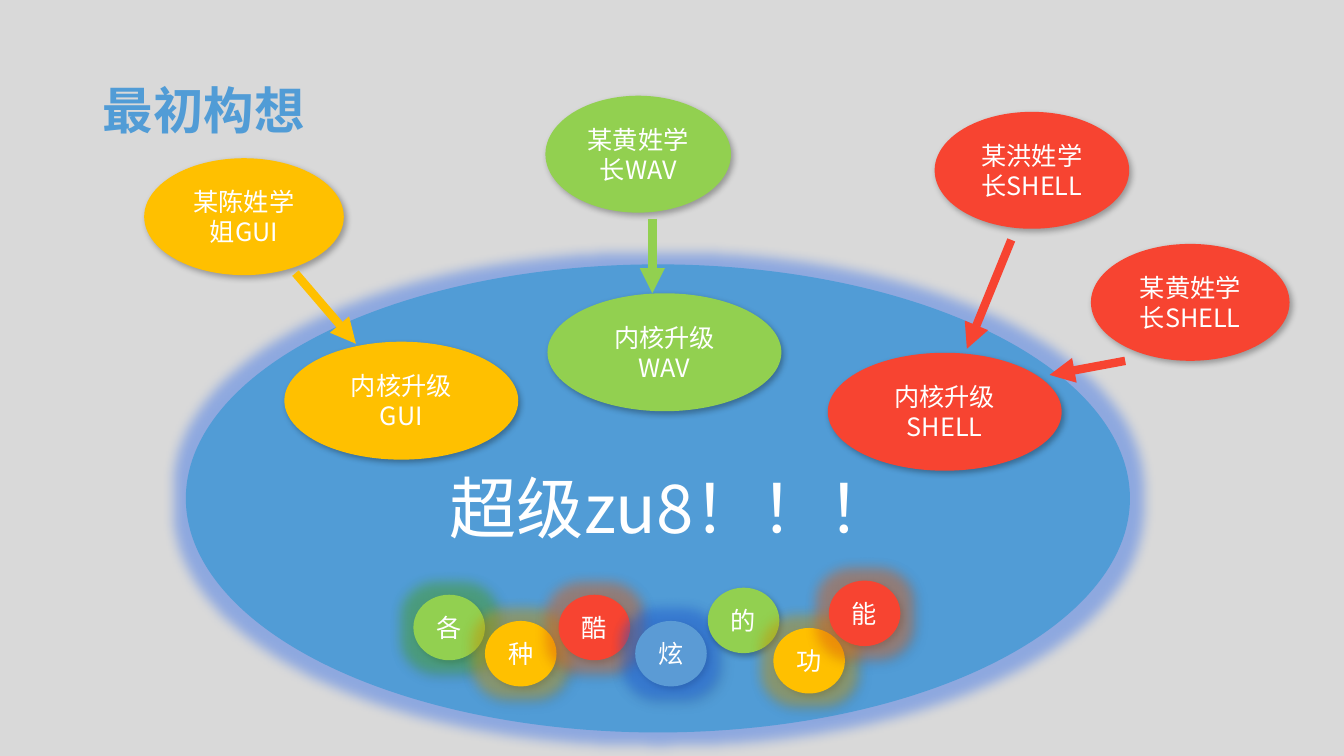
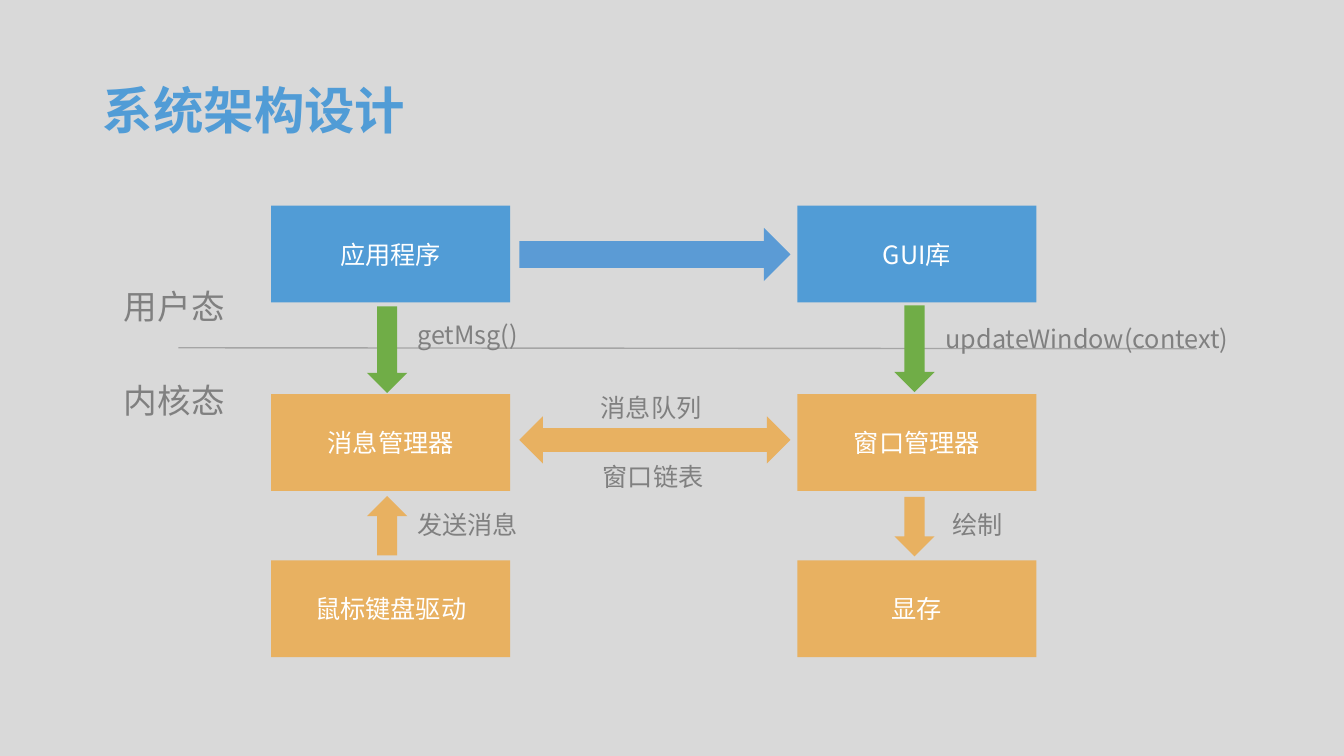
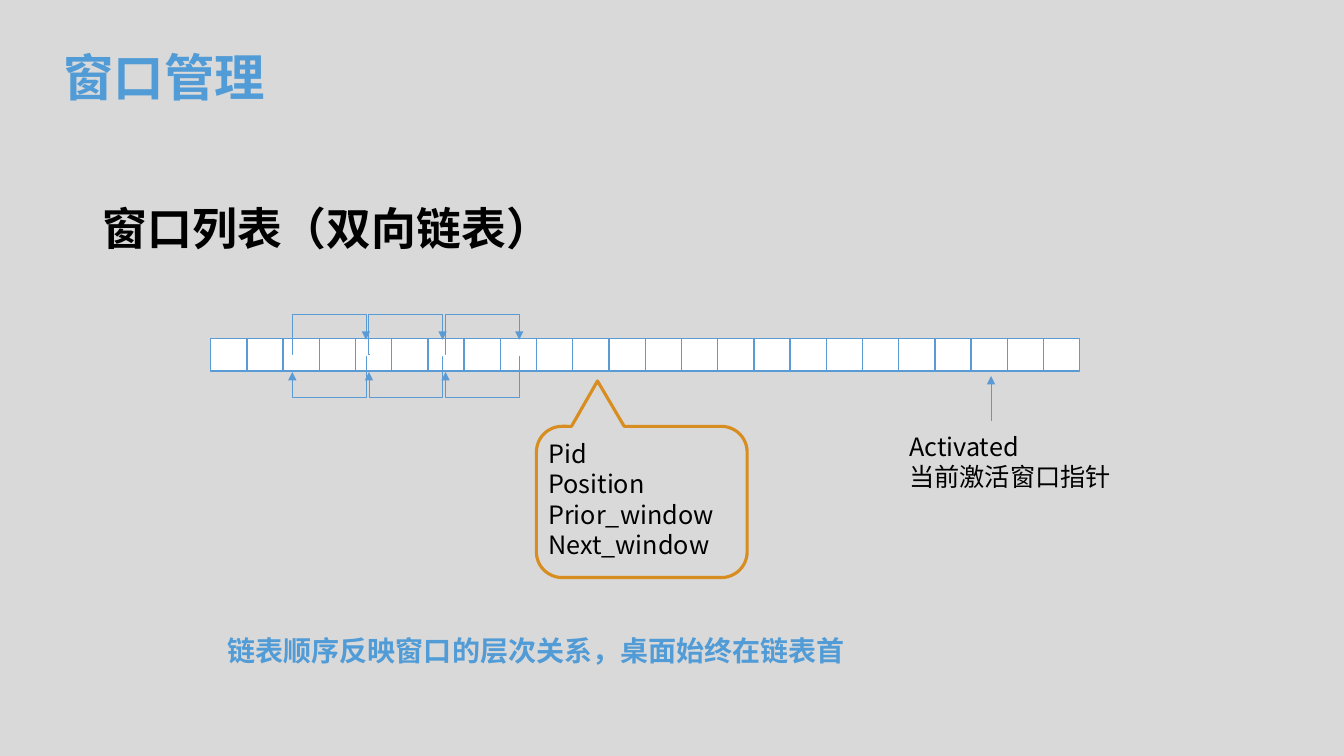
from lxml import etree
from pptx import Presentation
from pptx import util as u
from pptx.dml.color import RGBColor
from pptx.enum import shapes, text
from pptx.oxml.ns import qn

FONT = "Noto Sans CJK SC"
COLORS = {
    "background": "D9D9D9", "main": "519CD6", "link": "5B9BD5",
    "gold": "FFC000", "lime": "92D050", "red": "F74431",
    "kernel": "E8B161", "call": "70AD47", "callout": "D78D1F",
    "divider": "A5A5A5", "label": "808080", "white": "FFFFFF", "black": "000000",
    "blue glow": "1E60EA", "green glow": "4FB51E",
    "gold glow": "E5A800", "orange glow": "FF6A14",
}
SHAPE = shapes.MSO_SHAPE
ALIGN = text.PP_ALIGN
ANCHOR = text.MSO_ANCHOR


def rgb(color):
    return RGBColor.from_string(COLORS[color])


def inches(*lengths):
    return [u.Inches(length) for length in lengths]


def add_xml(parent, tag, **attributes):
    child = etree.SubElement(parent, qn(tag))
    for key, value in attributes.items():
        child.set(key, str(value))
    return child


def write(frame, words, size, color, bold=False, align=ALIGN.LEFT, spacing=1.0):
    """Fill a text frame, one paragraph for each line of words."""
    frame.text = words
    for paragraph in frame.paragraphs:
        paragraph.alignment = align
        paragraph.line_spacing = spacing
        font = paragraph.font
        font.size, font.bold, font.name = u.Pt(size), bold, FONT
        font.color.rgb = rgb(color)
        defaults = paragraph._p.get_or_add_pPr().find(qn("a:defRPr"))
        add_xml(defaults, "a:ea", typeface=FONT)


def add_titled_slide(prs, words, box=(0.92, 0.4, 11.5, 1.45),
                     anchor=ANCHOR.MIDDLE, spacing=0.9):
    slide = prs.slides.add_slide(prs.slide_layouts[5])
    title = slide.shapes.title
    title.left, title.top, title.width, title.height = inches(*box)
    frame = title.text_frame
    frame.auto_size = text.MSO_AUTO_SIZE.NONE
    frame.vertical_anchor = anchor
    write(frame, words, 36, "main", bold=True, spacing=spacing)
    return slide


def add_label(slide, box, words, size=18, color="label", bold=False,
              align=ALIGN.LEFT, wrap=True, spacing=1.0):
    frame = slide.shapes.add_textbox(*inches(*box)).text_frame
    frame.word_wrap = wrap
    write(frame, words, size, color, bold, align, spacing)


def add_figure(slide, kind, box, fill=None, words="", line=None, weight=1):
    figure = slide.shapes.add_shape(kind, *inches(*box))
    figure.shadow.inherit = False
    if fill:
        figure.fill.solid()
        figure.fill.fore_color.rgb = rgb(fill)
    else:
        figure.fill.background()
    if line:
        figure.line.color.rgb = rgb(line)
        figure.line.width = u.Pt(weight)
    else:
        figure.line.fill.background()
    if words:
        figure.text_frame.vertical_anchor = ANCHOR.MIDDLE
        write(figure.text_frame, words, 18, "white", align=ALIGN.CENTER)
    return figure


def add_effect(figure, tag, color, alpha, **attributes):
    effects = figure._element.spPr.find(qn("a:effectLst"))
    effect = add_xml(effects, tag, **attributes)
    tint = add_xml(effect, "a:srgbClr", val=COLORS[color])
    add_xml(tint, "a:alpha", val=alpha * 1000)


def add_glow(figure, color):
    add_effect(figure, "a:glow", color, 40, rad=u.Pt(18))


def add_bubble(slide, box, fill, words, glow=None):
    bubble = add_figure(slide, SHAPE.OVAL, box, fill, words)
    if glow:
        add_glow(bubble, glow)
    add_effect(bubble, "a:outerShdw", "black", 30, blurRad=u.Pt(4.5),
               dist=u.Pt(2.6), dir=53 * 60000, algn="tl", rotWithShape=0)


def add_line(slide, start, end, color, weight, arrow=True,
             kind=shapes.MSO_CONNECTOR.STRAIGHT):
    line = slide.shapes.add_connector(kind, *inches(*start, *end))
    line.line.color.rgb = rgb(color)
    line.line.width = u.Pt(weight)
    if arrow:
        add_xml(line.line._get_or_add_ln(), "a:tailEnd", type="triangle")
    add_xml(line._element.spPr, "a:effectLst")
    return line


def add_list_link(slide, start, end):
    """Draw an arrow that loops outside the row of cells."""
    link = add_line(slide, start, end, "link", 0.5,
                    kind=shapes.MSO_CONNECTOR.ELBOW)
    geometry = link._element.spPr.find(qn("a:prstGeom"))
    geometry.set("prst", "bentConnector4")
    guides = geometry.find(qn("a:avLst"))
    if guides is None:
        guides = add_xml(geometry, "a:avLst")
    for name, value in (("adj1", -400), ("adj2", 266700)):
        add_xml(guides, "a:gd", name=name, fmla=f"val {value}")


def build_first_idea(prs):
    slide = add_titled_slide(prs, "最初构想")
    for left, top, width, fill, words in (
            (1.43, 1.57, 1.98, "gold", "某陈姓学姐GUI"),
            (5.41, 0.95, 1.84, "lime", "某黄姓学长WAV"),
            (9.27, 1.11, 1.93, "red", "某洪姓学长SHELL"),
            (10.82, 2.42, 1.97, "red", "某黄姓学长SHELL")):
        add_bubble(slide, (left, top, width, 1.16), fill, words)

    system = add_figure(slide, SHAPE.OVAL, (1.85, 2.63, 9.35, 4.63), "main", line="main")
    add_glow(system, "blue glow")

    for left, top, fill, upgrade in (
            (2.82, 3.39, "gold", "GUI"),
            (5.43, 2.91, "lime", "WAV"),
            (8.21, 3.5, "red", "SHELL")):
        add_bubble(slide, (left, top, 2.32, 1.17), fill, f"内核升级\n{upgrade}")

    for left, top, fill, character, glow in (
            (4.1, 5.9, "lime", "各", "green glow"),
            (4.81, 6.16, "gold", "种", "gold glow"),
            (5.54, 5.9, "red", "酷", "orange glow"),
            (6.3, 6.16, "link", "炫", "blue glow"),
            (7.02, 5.83, "lime", "的", None),
            (7.67, 6.23, "gold", "功", "gold glow"),
            (8.22, 5.76, "red", "能", "orange glow")):
        add_bubble(slide, (left, top, 0.71, 0.65), fill, character, glow)

    for start, end, color in (
            ((2.93, 2.71), (3.53, 3.41), "gold"),
            ((6.47, 2.17), (6.47, 2.91), "lime"),
            ((10.03, 2.38), (9.59, 3.46), "red"),
            ((11.16, 3.58), (10.41, 3.72), "red")):
        add_line(slide, start, end, color, 6)
    add_label(slide, (4.34, 4.58, 4.66, 0.91), "超级zu8！！！", 48, "white",
              align=ALIGN.CENTER, wrap=False)


def build_architecture(prs):
    slide = add_titled_slide(prs, "系统架构设计")
    for top, fill, names in (
            (2.04, "main", ("应用程序", "GUI库")),
            (3.91, "kernel", ("消息管理器", "窗口管理器")),
            (5.56, "kernel", ("鼠标键盘驱动", "显存"))):
        for left, name in zip((2.69, 7.91), names):
            add_figure(slide, SHAPE.RECTANGLE, (left, top, 2.37, 0.96), fill, name)

    add_line(slide, (1.77, 3.45), (11.87, 3.46), "divider", 1, arrow=False)
    for top, mode in ((2.79, "用户态"), (3.72, "内核态")):
        add_label(slide, (1.13, top, 1.28, 0.5), mode, 24)

    for kind, box, fill in (
            (SHAPE.RIGHT_ARROW, (5.15, 2.26, 2.69, 0.53), "link"),
            (SHAPE.UP_ARROW, (3.64, 4.92, 0.4, 0.59), "kernel"),
            (SHAPE.LEFT_RIGHT_ARROW, (5.15, 4.13, 2.69, 0.47), "kernel"),
            (SHAPE.DOWN_ARROW, (8.87, 4.93, 0.4, 0.59), "kernel"),
            (SHAPE.DOWN_ARROW, (3.64, 3.04, 0.4, 0.86), "call"),
            (SHAPE.DOWN_ARROW, (8.87, 3.03, 0.4, 0.86), "call")):
        add_figure(slide, kind, box, fill)

    for left, top, width, words in (
            (4.04, 3.12, 1.28, "getMsg()"),
            (9.28, 3.16, 3.15, "updateWindow(context)"),
            (5.86, 3.84, 1.28, "消息队列"),
            (5.88, 4.53, 1.28, "窗口链表"),
            (4.04, 5, 1.28, "发送消息"),
            (9.35, 5, 1.28, "绘制")):
        add_label(slide, (left, top, width, 0.4), words)


def build_window_list(prs):
    slide = add_titled_slide(prs, "窗口管理", (0.53, 0.41, 2.56, 0.71),
                             ANCHOR.TOP, spacing=1.0)
    add_label(slide, (0.92, 2, 11.5, 0.56), "窗口列表（双向链表）", 32, "black",
              bold=True, spacing=0.9)

    cells, first, last = 24, 2.09, 10.35
    pitch = (last - first) / (cells - 1)
    for index in range(cells):
        add_figure(slide, SHAPE.RECTANGLE, (first + index * pitch, 3.36, 0.36, 0.32),
                   "white", line="link")

    for index in range(3):
        left = 2.9 + index * 0.76
        right = left + 0.73
        add_list_link(slide, (left, 3.52), (right, 3.37))
        add_list_link(slide, (right, 3.54), (left, 3.69))

    add_line(slide, (9.83, 4.18), (9.83, 3.73), "link", 0.5)
    add_label(slide, (8.92, 4.23, 2.35, 0.71), "Activated\n当前激活窗口指针", color="black")

    callout = add_figure(slide, SHAPE.ROUNDED_RECTANGULAR_CALLOUT,
                         (5.32, 4.23, 2.09, 1.5), line="callout", weight=2.25)
    for index, value in enumerate((-0.21, -0.8, 0.17)):
        callout.adjustments[index] = value
    add_label(slide, (5.34, 4.3, 2.13, 1.31),
              "Pid\nPosition\nPrior_window\nNext_window", color="black")
    add_label(slide, (2.16, 6.24, 6.63, 0.44),
              "链表顺序反映窗口的层次关系，桌面始终在链表首", 20, "main", bold=True)


def main():
    prs = Presentation()
    prs.slide_width, prs.slide_height = inches(13.33, 7.5)
    background = prs.slide_master.background.fill
    background.solid()
    background.fore_color.rgb = rgb("background")
    build_first_idea(prs)
    build_architecture(prs)
    build_window_list(prs)
    prs.save("out.pptx")


if __name__ == "__main__":
    main()
